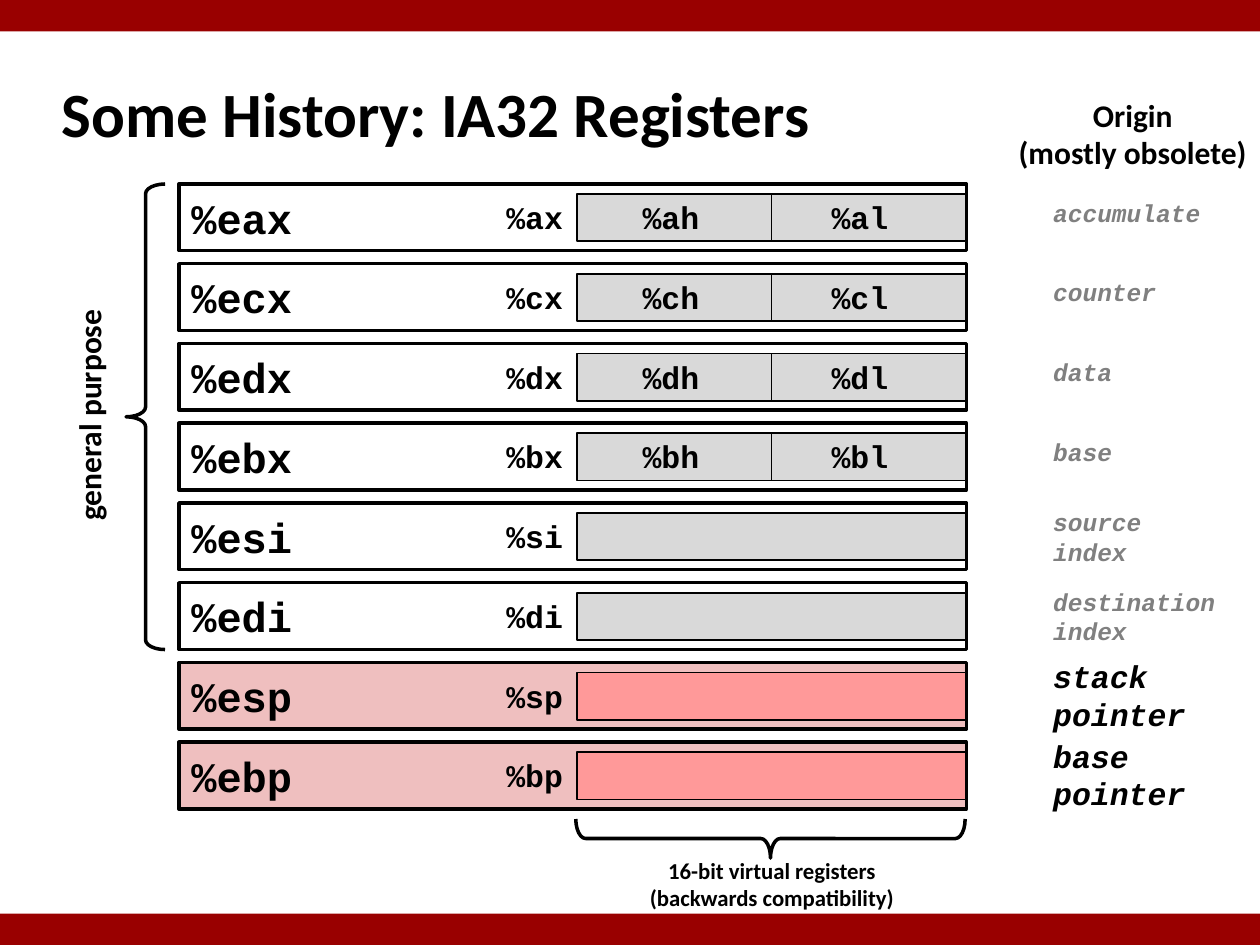
import pptx
import pptx.util
import pptx.dml.color
import pptx.enum.shapes
import pptx.enum.text
from lxml import etree

RGB = pptx.dml.color.RGBColor
BLACK = RGB(0x00, 0x00, 0x00)
WHITE = RGB(0xFF, 0xFF, 0xFF)
RED = RGB(0x99, 0x00, 0x00)
PINK = RGB(0xEF, 0xBF, 0xBF)
ROSE = RGB(0xFF, 0x99, 0x99)
SILVER = RGB(0xD9, 0xD9, 0xD9)
GRAY = RGB(0x80, 0x80, 0x80)

SHAPE = pptx.enum.shapes.MSO_SHAPE
LEFT, CENTER = pptx.enum.text.PP_ALIGN.LEFT, pptx.enum.text.PP_ALIGN.CENTER
MIDDLE = pptx.enum.text.MSO_ANCHOR.MIDDLE
Inches = pptx.util.Inches

W, H = 10, 7.5
BAND = H / 30
ROWS_BOX = (1.42, 1.46, 6.25, 4.96)
ROW_HEIGHT = 0.53
GENERAL_ROWS = 6
PITCH = 0.633

HEADING = {"name": "Calibri", "size": pptx.util.Pt(36), "bold": True}
LABEL = HEADING | {"size": pptx.util.Pt(18)}
CAPTION = HEADING | {"size": pptx.util.Pt(13)}
REGISTER = {"name": "Courier New", "size": pptx.util.Pt(24), "bold": True}
PART = REGISTER | {"size": pptx.util.Pt(18)}
OLD_ORIGIN = REGISTER | {"size": pptx.util.Pt(14), "italic": True}
LIVE_ORIGIN = PART | {"italic": True}

# register, 16-bit name, 8-bit names, origin
REGISTERS = [
    ("%eax", "%ax", ("%ah", "%al"), ["accumulate"]),
    ("%ecx", "%cx", ("%ch", "%cl"), ["counter"]),
    ("%edx", "%dx", ("%dh", "%dl"), ["data"]),
    ("%ebx", "%bx", ("%bh", "%bl"), ["base"]),
    ("%esi", "%si", (), ["source", "index"]),
    ("%edi", "%di", (), ["destination", "index"]),
    ("%esp", "%sp", (), ["stack", "pointer"]),
    ("%ebp", "%bp", (), ["base", "pointer"]),
]


def inches(box):
    return [Inches(v) for v in box]


def within(box, x, y, w, h):
    """Return the part of box given by shares of its width and height."""
    left, top, width, height = box
    return left + x * width, top + y * height, w * width, h * height


def write(tf, lines, font, color=BLACK, align=LEFT):
    for i, line in enumerate(lines):
        p = tf.paragraphs[0] if i == 0 else tf.add_paragraph()
        p.alignment = align
        r = p.add_run()
        r.text = line
        for key, value in font.items():
            setattr(r.font, key, value)
        r.font.color.rgb = color


def add_text(s, box, lines, font, color=BLACK, align=LEFT, wrap=False):
    sp = s.shapes.add_textbox(*inches(box))
    sp.text_frame.word_wrap = wrap
    write(sp.text_frame, lines, font, color, align)
    return sp


def add_box(s, box, fill, line_width=0):
    sp = s.shapes.add_shape(SHAPE.RECTANGLE, *inches(box))
    sp.shadow.inherit = False
    sp.fill.solid()
    sp.fill.fore_color.rgb = fill
    if line_width:
        sp.line.color.rgb = BLACK
        sp.line.width = pptx.util.Pt(line_width)
    else:
        sp.line.fill.background()
    return sp


def add_divider(s, x, top, height):
    cn = s.shapes.add_connector(pptx.enum.shapes.MSO_CONNECTOR.STRAIGHT,
                                *inches((x, top, x, top + height)))
    cn.line.color.rgb = BLACK
    cn.line.width = pptx.util.Pt(1)
    etree.SubElement(cn._element.spPr, pptx.oxml.ns.qn("a:effectLst"))


def add_brace(s, box, rotation):
    """Draw a brace that fills box once it has been turned."""
    left, top, w, h = box
    if rotation == 90:
        left, top, w, h = left + (w - h) / 2, top + (h - w) / 2, h, w
    sp = s.shapes.add_shape(SHAPE.RIGHT_BRACE, *inches((left, top, w, h)))
    sp.rotation = rotation
    sp.adjustments[0], sp.adjustments[1] = 0.25, 0.5
    sp.shadow.inherit = False
    sp.fill.background()
    sp.line.color.rgb = BLACK
    sp.line.width = pptx.util.Pt(2)


def add_frame(s):
    """Title and the bands along the top and bottom edges."""
    title = s.shapes.title
    title.left, title.top, title.width, title.height = inches((0.39, 0.48, 8.3, 0.83))
    title.text_frame.vertical_anchor = MIDDLE
    write(title.text_frame, ["Some History: IA32 Registers"], HEADING)
    for top in (0, H - BAND):
        add_box(s, (0, top, W, BAND), RED)


def add_register(s, box, name, word, halves, general):
    sp = add_box(s, box, WHITE if general else PINK, 2)
    sp.text_frame.word_wrap = False
    sp.text_frame.vertical_anchor = MIDDLE
    write(sp.text_frame, [name], REGISTER)

    inner = within(box, 0.506, 0.15, 0.493, 0.71)
    add_box(s, inner, SILVER if general else ROSE, 1)
    if halves:
        add_divider(s, inner[0] + inner[2] / 2, inner[1], inner[3])
    for x, label in zip((0.4, 0.573, 0.813), (word, *halves)):
        add_text(s, within(box, x, 0.12, 0.104, 0.75), [label], PART)


def add_origin(s, box, lines, general):
    left, top, width, height = box
    font, color = (OLD_ORIGIN, GRAY) if general else (LIVE_ORIGIN, BLACK)
    line_height = 0.23 if general else 0.31
    text_height = 0.1 + line_height * len(lines)
    offset = (height - text_height) / 2 - (0.04 if len(lines) == 1 else 0)
    add_text(s, (left, top + offset, width, text_height), lines, font, color)


def add_registers(s, box):
    left, top, width, height = box
    for i, (name, word, halves, origin) in enumerate(REGISTERS):
        y = top + i * PITCH
        general = i < GENERAL_ROWS
        add_register(s, (left, y, width, ROW_HEIGHT), name, word, halves, general)
        add_origin(s, (8.26, y, 1.49, ROW_HEIGHT), origin, general)
    add_text(s, (7.98, top - 0.75, 2.02, 0.71), ["Origin", "(mostly obsolete)"],
             LABEL, align=CENTER)


def add_braces(s, box):
    """Braces with their captions, to the left of and below the registers."""
    left, top, width, height = box
    general_height = (GENERAL_ROWS - 1) * PITCH + ROW_HEIGHT
    add_brace(s, (left - 0.42, top, 0.31, general_height), 180)
    sp = add_text(s, (left - 1.66, top + general_height / 2 - 0.22, 1.89, 0.4),
                  ["general purpose"], LABEL)
    sp.rotation = 270
    bottom = top + height
    add_brace(s, (left + 3.15, bottom + 0.08, 3.09, 0.31), 90)
    add_text(s, (left + 3.25, bottom + 0.33, 2.91, 0.54),
             ["16-bit virtual registers", "(backwards compatibility)"],
             CAPTION, align=CENTER, wrap=True)


def main():
    prs = pptx.Presentation()
    prs.slide_width, prs.slide_height = Inches(W), Inches(H)
    s = prs.slides.add_slide(prs.slide_layouts[5])
    add_frame(s)
    add_registers(s, ROWS_BOX)
    add_braces(s, ROWS_BOX)
    prs.save("out.pptx")


if __name__ == "__main__":
    main()
